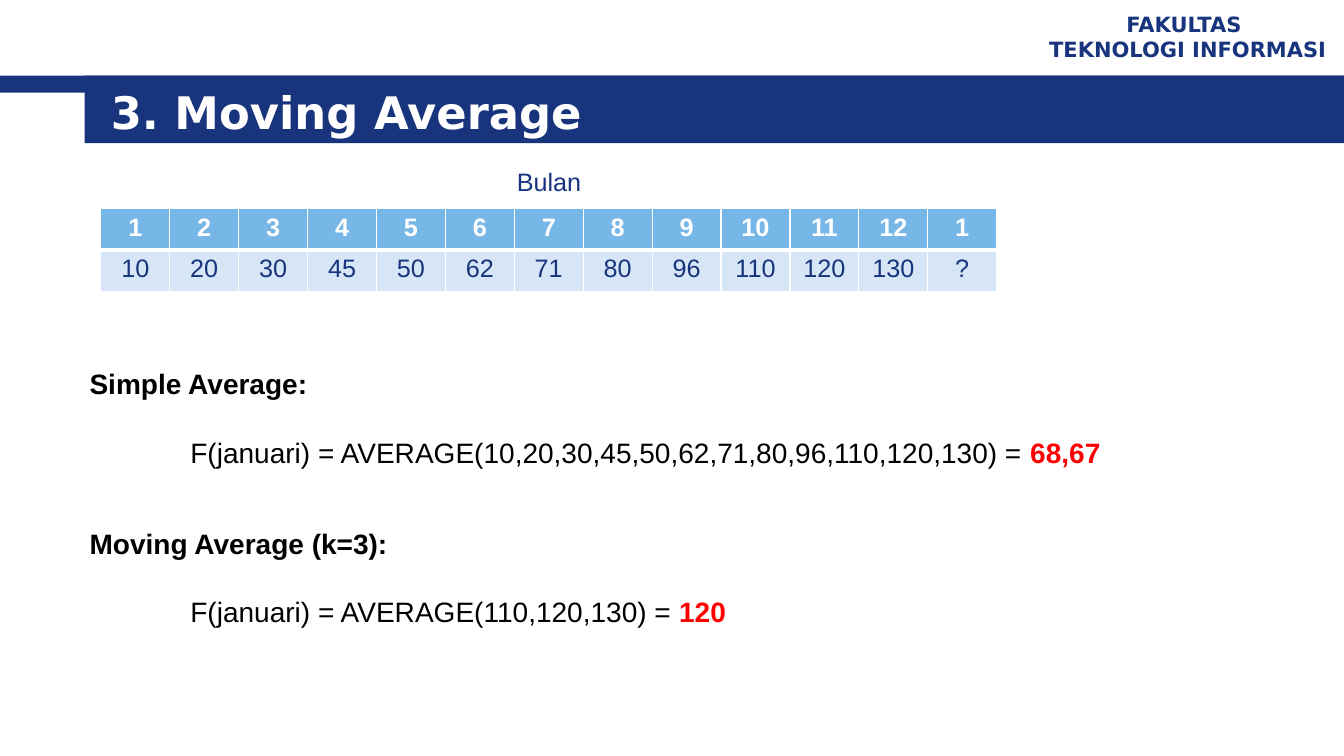
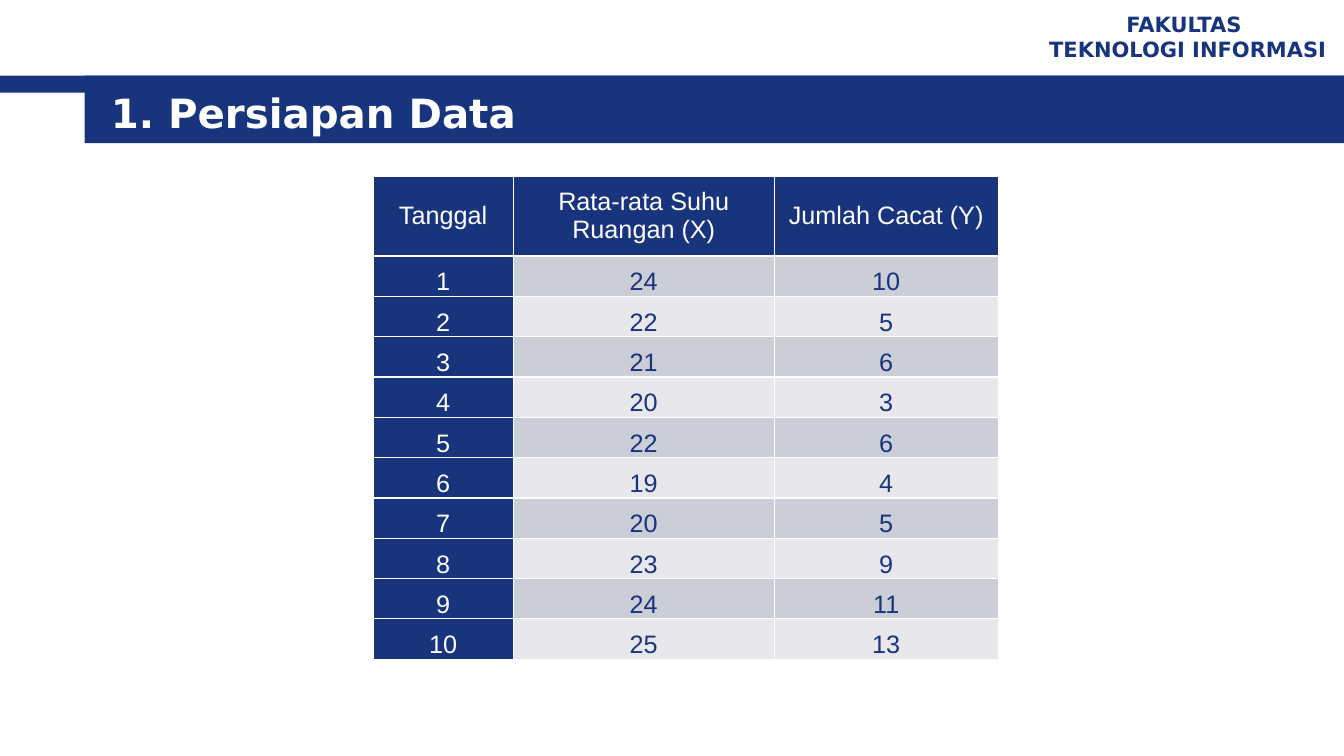
from lxml import etree
from pptx import Presentation
from pptx import util as u
from pptx.dml.color import RGBColor
from pptx.enum import shapes, text
from pptx.oxml.ns import qn

NAVY, WHITE, BLACK, RED = "17347D", "FFFFFF", "000000", "FF0000"
SKY, PALE_SKY = "77B7E7", "D6E6F6"
GREY, PALE_GREY = "CCCED7", "E8E8EC"
HEADING_FONT, BODY_FONT = "DejaVu Sans", "Arial"
CENTER = text.PP_ALIGN.CENTER
MIDDLE, BOTTOM, TOP = text.MSO_ANCHOR.MIDDLE, text.MSO_ANCHOR.BOTTOM, text.MSO_ANCHOR.TOP


def rgb(value):
    return RGBColor.from_string(value)


class Deck:
    """Holds the faculty style and the slide being built."""

    def __init__(self):
        self.prs = Presentation()
        self.prs.slide_width, self.prs.slide_height = u.Inches(13.33), u.Inches(7.5)
        self.slide = None

    def new_slide(self, title, size):
        self.slide = self.prs.slides.add_slide(self.prs.slide_layouts[6])
        self.band(0, 0.75, 13.33, 0.17)
        self.band(0.84, 0.75, 12.49, 0.67)
        faculty = self.textbox(10.23, 0.05, 3.1, 0.62, MIDDLE)
        faculty.text = "FAKULTAS \nTEKNOLOGI INFORMASI"
        for line in faculty.paragraphs:
            line.alignment = CENTER
            self.style(line, 15, NAVY, True, HEADING_FONT)
        heading = self.textbox(1, 0.8, 11.89, 0.62, MIDDLE)
        heading.text = title
        self.style(heading.paragraphs[0], size, WHITE, True, HEADING_FONT)

    def style(self, paragraph, size, color, bold=False, font=BODY_FONT):
        for run in paragraph.runs:
            run.font.size, run.font.name, run.font.bold = u.Pt(size), font, bold
            run.font.color.rgb = rgb(color)

    def band(self, left, top, width, height):
        band = self.slide.shapes.add_shape(
            shapes.MSO_SHAPE.RECTANGLE, *map(u.Inches, (left, top, width, height)))
        band.shadow.inherit = False
        band.fill.solid()
        band.fill.fore_color.rgb = rgb(NAVY)
        band.line.fill.background()

    def textbox(self, left, top, width, height, anchor=TOP):
        frame = self.slide.shapes.add_textbox(
            *map(u.Inches, (left, top, width, height))).text_frame
        frame.word_wrap = True
        frame.vertical_anchor = anchor
        return frame

    def caption(self, left, top, width, height, words):
        frame = self.textbox(left, top, width, height)
        frame.text = words
        frame.paragraphs[0].alignment = CENTER
        self.style(frame.paragraphs[0], 18, NAVY)

    def forecast(self, left, top, width, method, formula, result):
        frame = self.textbox(left, top, width, 1.11)
        frame.text = method
        self.style(frame.paragraphs[0], 20, BLACK, True)
        calculation = frame.add_paragraph()
        calculation.text = formula
        calculation.space_before = u.Pt(25)
        calculation._p.get_or_add_pPr().set("marL", str(u.Inches(1)))
        self.style(calculation, 20, BLACK)
        answer = calculation.add_run()
        answer.text = result
        answer.font.size, answer.font.name, answer.font.bold = u.Pt(20), BODY_FONT, True
        answer.font.color.rgb = rgb(RED)

    def table(self, left, top, widths, heights, rows):
        frame = self.slide.shapes.add_table(
            len(rows), len(widths), u.Inches(left), u.Inches(top),
            u.Inches(sum(widths)), u.Inches(sum(heights)))
        grid = frame.table
        grid.first_row = grid.horz_banding = False
        for column, width in zip(grid.columns, widths):
            column.width = u.Inches(width)
        for line, height, values in zip(grid.rows, heights, rows):
            line.height = u.Inches(height)
            for cell, value in zip(line.cells, values):
                cell.text = str(value)
        return grid

    def format_cell(self, cell, fill, color, bold=False, top=1, bottom=1):
        for side, width in zip(("lnL", "lnR", "lnT", "lnB"), (1, 1, top, bottom)):
            edge = etree.SubElement(cell._tc.get_or_add_tcPr(), qn(f"a:{side}"), w=str(u.Pt(width)))
            solid = etree.SubElement(edge, qn("a:solidFill"))
            etree.SubElement(solid, qn("a:srgbClr"), val=WHITE)
        cell.fill.solid()
        cell.fill.fore_color.rgb = rgb(fill)
        paragraph = cell.text_frame.paragraphs[0]
        paragraph.alignment = CENTER
        self.style(paragraph, 18, color, bold)

    def monthly_table(self, left, top, width, months, sales):
        grid = self.table(left, top, [width / len(months)] * len(months),
                          [0.41] * 2, [months, sales])
        for month, sale in zip(grid.rows[0].cells, grid.rows[1].cells):
            self.format_cell(month, SKY, WHITE, True, bottom=3)
            self.format_cell(sale, PALE_SKY, NAVY, top=3)

    def daily_table(self, left, top, widths, headings, records):
        grid = self.table(left, top, widths, [0.79] + [0.4] * len(records),
                          [headings] + records)
        for r, line in enumerate(grid.rows):
            for c, cell in enumerate(line.cells):
                cell.margin_left = cell.margin_right = cell.margin_top = cell.margin_bottom = 0
                cell.vertical_anchor = BOTTOM if r else MIDDLE
                cell.text_frame.paragraphs[0].line_spacing = u.Pt(19.9)
                if r == 0 or c == 0:
                    self.format_cell(cell, NAVY, WHITE)
                else:
                    self.format_cell(cell, GREY if r % 2 else PALE_GREY, NAVY)


def main():
    deck = Deck()

    deck.new_slide("3. Moving Average", 32)
    sales = [10, 20, 30, 45, 50, 62, 71, 80, 96, 110, 120, 130]
    deck.monthly_table(1, 2.07, 8.89, [*range(1, 13), 1], [*sales, "?"])
    deck.caption(4.92, 1.6, 1.05, 0.4, "Bulan")
    for top, width, method, sample, result in (
            (3.59, 10.37, "Simple Average:", sales, "68,67"),
            (5.17, 6.64, "Moving Average (k=3):", sales[-3:], "120")):
        formula = f"F(januari) = AVERAGE({','.join(map(str, sample))}) = "
        deck.forecast(0.79, top, width, method, formula, result)

    deck.new_slide("1. Persiapan Data", 28.8)
    temperatures = [24, 22, 21, 20, 22, 19, 20, 23, 24, 25]
    defects = [10, 5, 6, 3, 6, 4, 5, 9, 11, 13]
    deck.daily_table(3.7, 1.75, [1.39, 2.59, 2.22],
                     ["Tanggal", "Rata-rata Suhu Ruangan (X)", "Jumlah Cacat (Y)"],
                     list(zip(range(1, 11), temperatures, defects)))

    deck.prs.save("out.pptx")


if __name__ == "__main__":
    main()
